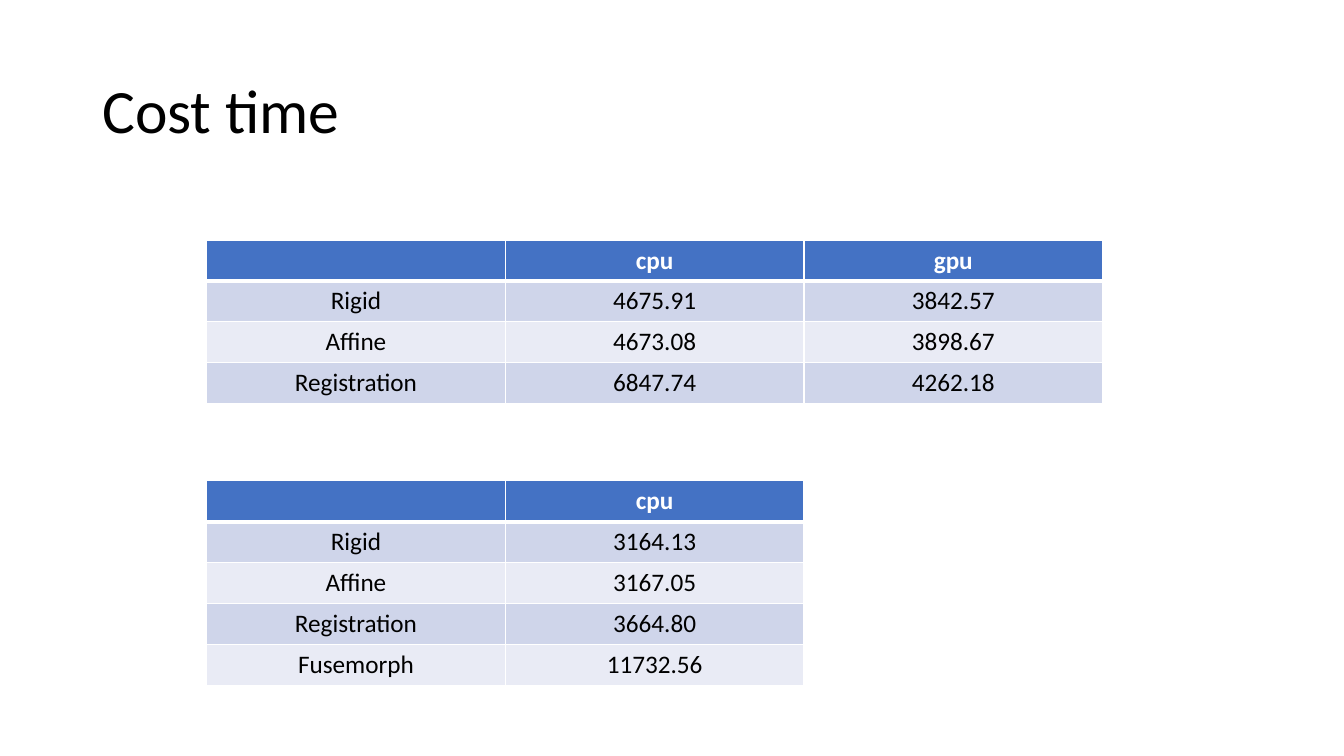
from lxml.etree import SubElement
from pptx import Presentation
from pptx.dml.color import RGBColor
from pptx.enum.text import MSO_ANCHOR, PP_ALIGN
from pptx.oxml import parse_xml
from pptx.oxml.ns import nsdecls
from pptx.util import Pt

COLUMN_WIDTH, ROW_HEIGHT = 213.36, 29.2
TABLES_LEFT = 147.6
HEADER_FILL, BAND_FILLS = "4472C4", ("E9EBF5", "CFD5EA")

TIMINGS = [
    (171.4, [
        ("", "cpu", "gpu"),
        ("Rigid", "4675.91", "3842.57"),
        ("Affine", "4673.08", "3898.67"),
        ("Registration", "6847.74", "4262.18"),
    ]),
    (343.5, [
        ("", "cpu"),
        ("Rigid", "3164.13"),
        ("Affine", "3167.05"),
        ("Registration", "3664.80"),
        ("Fusemorph", "11732.56"),
    ]),
]


def write(para, text, color, **font_format):
    span = para.add_run()
    span.text = text
    span.font.color.rgb = RGBColor.from_string(color)
    for name, value in {"name": "Calibri", **font_format}.items():
        setattr(span.font, name, value)


def set_borders(cell, widths):
    """Draw white cell borders; widths maps L, R, T, B to points."""
    properties = cell._tc.get_or_add_tcPr()
    for index, (side, width) in enumerate(widths.items()):
        border = parse_xml(
            f'<a:ln{side} {nsdecls("a")} w="{Pt(width)}"><a:solidFill>'
            f'<a:srgbClr val="FFFFFF"/></a:solidFill></a:ln{side}>')
        properties.insert(index, border)


deck = Presentation()
deck.slide_width, deck.slide_height = Pt(960), Pt(540)
page = deck.slides.add_slide(deck.slide_layouts[6])

title = page.shapes.add_textbox(Pt(66), Pt(28.75), Pt(828), Pt(104.4)).text_frame
title.word_wrap = True
title.vertical_anchor = MSO_ANCHOR.MIDDLE
title.paragraphs[0].line_spacing = 0.9
write(title.paragraphs[0], "Cost time", "000000", size=Pt(44))

for top, rows in TIMINGS:
    column_count = len(rows[0])
    table = page.shapes.add_table(
        len(rows), column_count, Pt(TABLES_LEFT), Pt(top),
        Pt(COLUMN_WIDTH * column_count), Pt(ROW_HEIGHT * len(rows))).table
    for column in table.columns:
        column.width = Pt(COLUMN_WIDTH)
    for row_index, row in enumerate(rows):
        table.rows[row_index].height = Pt(ROW_HEIGHT)
        is_header = row_index == 0
        fill = HEADER_FILL if is_header else BAND_FILLS[row_index % 2]
        for column_index, text in enumerate(row):
            cell = table.cell(row_index, column_index)
            cell.fill.solid()
            cell.fill.fore_color.rgb = RGBColor.from_string(fill)
            set_borders(cell, {"L": 1, "R": 1,
                               "T": 3 if row_index == 1 else 1,
                               "B": 3 if is_header else 1})
            para = cell.text_frame.paragraphs[0]
            para.alignment = PP_ALIGN.CENTER
            if text:
                write(para, text, "FFFFFF" if is_header else "000000",
                      size=Pt(18), bold=is_header)

deck.save("out.pptx")
